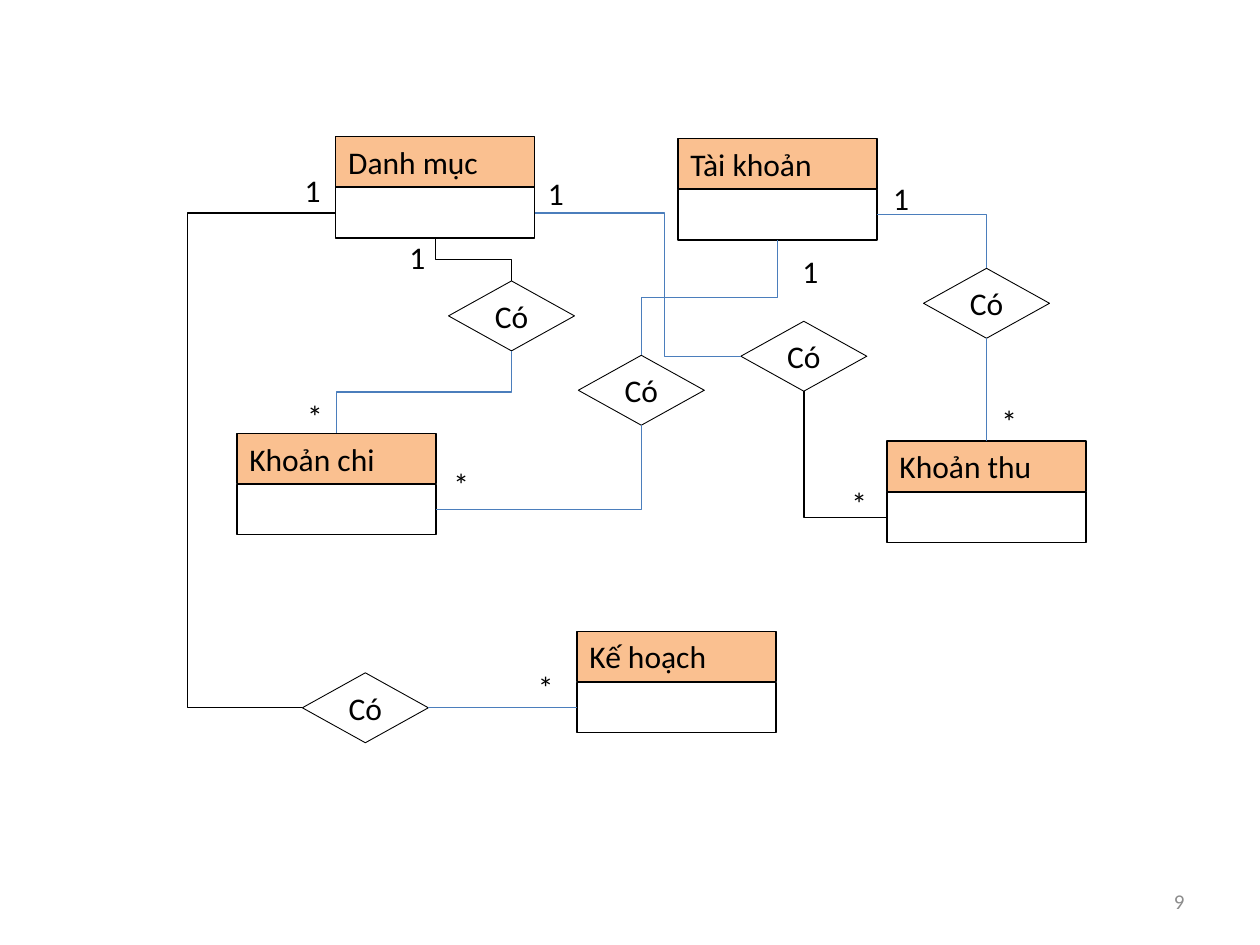
from pptx import Presentation
from pptx import util as u
from pptx.dml.color import RGBColor
from pptx.enum import shapes, text
from pptx.oxml.ns import qn
from lxml import etree

BLACK = RGBColor(0x00, 0x00, 0x00)
GREY = RGBColor(0x8C, 0x8C, 0x8C)
BLUE = RGBColor(0x4B, 0x7E, 0xBC)
PEACH = RGBColor(0xFA, 0xC0, 0x90)

# Connection sites of rectangles and diamonds
TOP, LEFT, BOTTOM, RIGHT = range(4)

COLUMNS, ROWS = 100, 75
ENTITY_WIDTH, BAND_HEIGHT, BODY_OFFSET = 15.8, 4.0, 4.05
DIAMOND_WIDTH, DIAMOND_HEIGHT = 10, 5.55


def write(shape, words, size=18, colour=BLACK, align=text.PP_ALIGN.LEFT,
          anchor=text.MSO_ANCHOR.TOP, wrap=True, grow=False):
    frame = shape.text_frame
    frame.word_wrap = wrap
    frame.vertical_anchor = anchor
    if grow:
        frame.auto_size = text.MSO_AUTO_SIZE.SHAPE_TO_FIT_TEXT
    paragraph = frame.paragraphs[0]
    paragraph.alignment = align
    run = paragraph.add_run()
    run.text = words
    run.font.name = "Calibri"
    run.font.size = u.Pt(size)
    run.font.color.rgb = colour


class Diagram:
    """Entity diagram drawn on a grid of columns and rows."""

    def __init__(self, presentation):
        self.slide = presentation.slides.add_slide(presentation.slide_layouts[6])
        self.column = presentation.slide_width / COLUMNS
        self.row = presentation.slide_height / ROWS

    def place(self, column, row, width, height):
        return (round(column * self.column), round(row * self.row),
                round(width * self.column), round(height * self.row))

    def outline(self, kind, place, line_width, fill=None):
        shape = self.slide.shapes.add_shape(kind, *self.place(*place))
        shape.shadow.inherit = False
        if fill is None:
            shape.fill.background()
        else:
            shape.fill.solid()
            shape.fill.fore_color.rgb = fill
        shape.line.color.rgb = BLACK
        shape.line.width = u.Pt(line_width)
        return shape

    def entity(self, name, column, row):
        kind = shapes.MSO_SHAPE.RECTANGLE
        head = self.outline(kind, (column, row, ENTITY_WIDTH, BAND_HEIGHT), 0.75, PEACH)
        write(head, name, grow=True)
        body = self.outline(
            kind, (column, row + BODY_OFFSET, ENTITY_WIDTH, BAND_HEIGHT), 0.75)
        return head, body

    def relation(self, column, row):
        diamond = self.outline(shapes.MSO_SHAPE.FLOWCHART_DECISION,
                               (column, row, DIAMOND_WIDTH, DIAMOND_HEIGHT), 0.5)
        write(diamond, "Có", align=text.PP_ALIGN.CENTER,
              anchor=text.MSO_ANCHOR.MIDDLE)
        return diamond

    def label(self, words, column, row, width=3.3, **style):
        box = self.slide.shapes.add_textbox(*self.place(column, row, width, 4))
        write(box, words, **style)

    def link(self, start, start_site, end, end_site, colour=BLUE, bend=0.5):
        """Elbow line running downwards between two connection sites."""
        line = self.slide.shapes.add_connector(
            shapes.MSO_CONNECTOR.ELBOW, 0, 0, 0, 0)
        line.begin_connect(start, start_site)
        line.end_connect(end, end_site)
        line.line.color.rgb = colour
        line.line.width = u.Pt(0.75)

        # Frame before rotation, centred between the two ends
        dx, dy = line.end_x - line.begin_x, line.end_y - line.begin_y
        centre_x = (line.begin_x + line.end_x) // 2
        centre_y = (line.begin_y + line.end_y) // 2
        vertical = start_site == BOTTOM
        width, height = (abs(dy), abs(dx)) if vertical else (abs(dx), abs(dy))
        line.left, line.top = centre_x - width // 2, centre_y - height // 2
        line.width, line.height = width, height

        # Rotation and flip follow from the direction of travel
        if vertical:
            angle, flip_h, flip_v = (90, False, False) if dx < 0 else (270, True, False)
        else:
            angle, flip_h, flip_v = (180, False, True) if dx < 0 else (0, False, False)
        properties = line._element.spPr
        frame = properties.find(qn("a:xfrm"))
        frame.set("rot", str(angle * 60000))
        frame.set("flipH", str(int(flip_h)))
        frame.set("flipV", str(int(flip_v)))

        # One corner when the ends are perpendicular, otherwise two
        geometry = properties.find(qn("a:prstGeom"))
        if vertical != (end_site in (TOP, BOTTOM)):
            geometry.set("prst", "bentConnector2")
        else:
            guide = etree.SubElement(geometry.find(qn("a:avLst")), qn("a:gd"))
            guide.set("name", "adj1")
            guide.set("fmla", f"val {round(bend * 100000)}")
        etree.SubElement(properties, qn("a:effectLst"))


def main():
    presentation = Presentation()
    presentation.slide_width, presentation.slide_height = u.Inches(10), u.Inches(7.5)
    diagram = Diagram(presentation)

    # Entities
    _, category = diagram.entity("Danh mục", 26.65, 10.85)
    _, account = diagram.entity("Tài khoản", 53.8, 11)
    expense_head, expense = diagram.entity("Khoản chi", 18.8, 34.4)
    income_head, income = diagram.entity("Khoản thu", 70.4, 35)
    _, plan = diagram.entity("Kế hoạch", 45.8, 50.1)

    # Relations
    category_expense = diagram.relation(35.6, 22.3)
    account_expense = diagram.relation(45.9, 28.2)
    category_income = diagram.relation(58.8, 25.5)
    account_income = diagram.relation(73.3, 21.3)
    category_plan = diagram.relation(24, 53.4)

    # Links
    diagram.link(category, BOTTOM, category_expense, TOP, BLACK)
    diagram.link(category_expense, BOTTOM, expense_head, TOP)
    diagram.link(account, BOTTOM, account_expense, TOP)
    diagram.link(account_expense, BOTTOM, expense, RIGHT)
    diagram.link(category, RIGHT, category_income, LEFT, bend=0.63)
    diagram.link(category_income, BOTTOM, income, LEFT, BLACK)
    diagram.link(account, RIGHT, account_income, TOP)
    diagram.link(account_income, BOTTOM, income_head, TOP)
    diagram.link(category, LEFT, category_plan, LEFT, BLACK, bend=4.44)
    diagram.link(category_plan, RIGHT, plan, LEFT)

    # Cardinalities
    cardinalities = {
        "1": [(31.5, 18.4), (62.7, 19.5), (42.5, 13.3), (69.9, 13.7), (23.2, 13.1)],
        "*": [(23.4, 31), (35, 36.4), (66.6, 37.9), (78.5, 31.4), (41.7, 52.5)],
    }
    for mark, positions in cardinalities.items():
        for column, row in positions:
            diagram.label(mark, column, row, wrap=False, grow=True)

    # Slide number
    diagram.label("9", 71.7, 69.5, width=23.3, size=12, colour=GREY,
                  align=text.PP_ALIGN.RIGHT, anchor=text.MSO_ANCHOR.MIDDLE)

    presentation.save("out.pptx")


if __name__ == "__main__":
    main()
